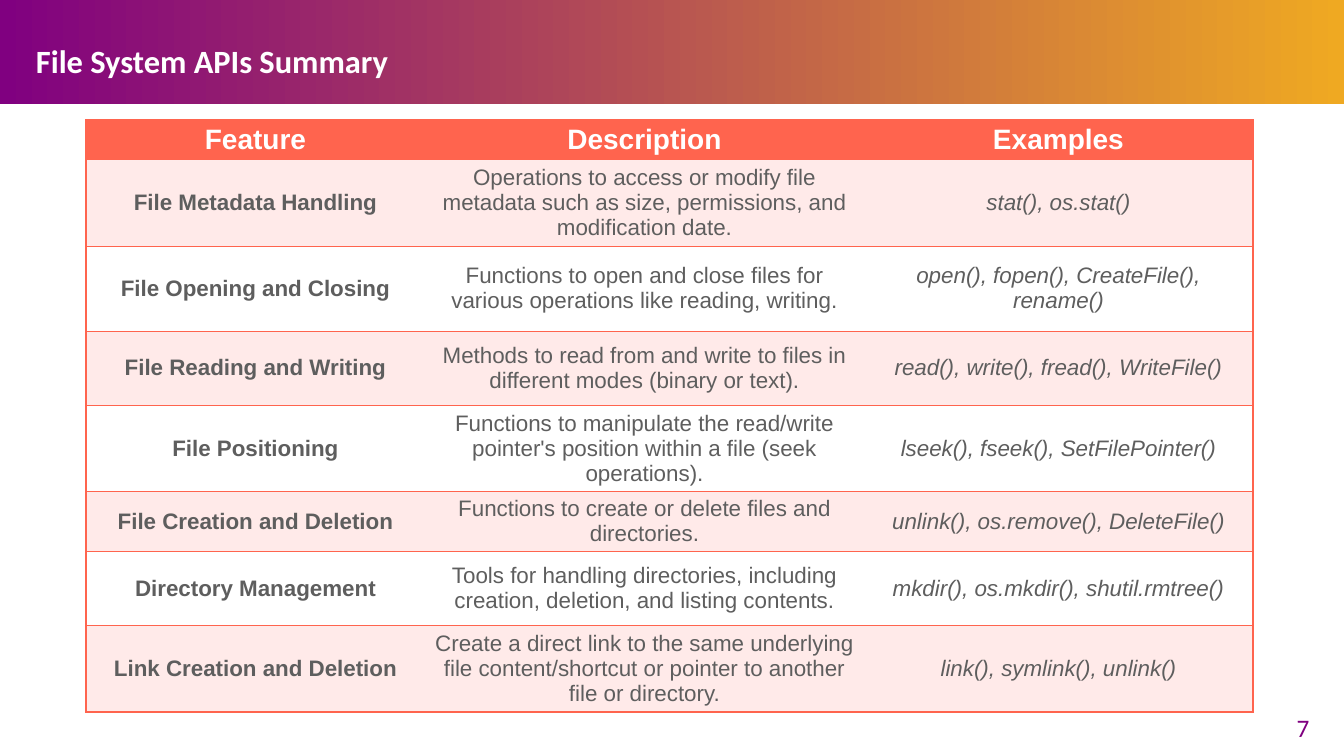
"""Build the File System APIs Summary slide."""
from lxml import etree
from pptx import Presentation
from pptx.dml.color import RGBColor
from pptx.enum.shapes import MSO_SHAPE
from pptx.enum.text import MSO_ANCHOR, PP_ALIGN
from pptx.oxml.ns import qn
from pptx.util import Emu, Pt

RECT = MSO_SHAPE.RECTANGLE
MIDDLE, TOP = MSO_ANCHOR.MIDDLE, MSO_ANCHOR.TOP
LEFT, CENTER = PP_ALIGN.LEFT, PP_ALIGN.CENTER

PURPLE = RGBColor(0x80, 0x00, 0x80)
AMBER = RGBColor(0xEF, 0xA9, 0x22)
CORAL = RGBColor(0xFF, 0x64, 0x4E)
BLUSH = RGBColor(0xFF, 0xEA, 0xE9)
GREY = RGBColor(0x5E, 0x5E, 0x5E)
WHITE = RGBColor(0xFF, 0xFF, 0xFF)

EMU_PER_PX = 914400 / 100.8
WIDTH, HEIGHT, BANNER_HEIGHT = 1344, 756, 104
COLUMNS = [339, 439, 389]
ROWS = [38, 85, 85, 74, 85, 59, 74, 85]
APIS = [
    ("Feature", "Description", "Examples"),
    ("File Metadata Handling",
     "Operations to access or modify file metadata such as size, permissions, "
     "and modification date.",
     "stat(), os.stat()"),
    ("File Opening and Closing",
     "Functions to open and close files for various operations like reading, writing.",
     "open(), fopen(), CreateFile(), rename()"),
    ("File Reading and Writing",
     "Methods to read from and write to files in different modes (binary or text).",
     "read(), write(), fread(), WriteFile()"),
    ("File Positioning",
     "Functions to manipulate the read/write pointer's position within a file "
     "(seek operations).",
     "lseek(), fseek(), SetFilePointer()"),
    ("File Creation and Deletion",
     "Functions to create or delete files and directories.",
     "unlink(), os.remove(), DeleteFile()"),
    ("Directory Management",
     "Tools for handling directories, including creation, deletion, and listing contents.",
     "mkdir(), os.mkdir(), shutil.rmtree()"),
    ("Link Creation and Deletion",
     "Create a direct link to the same underlying file content/shortcut or pointer "
     "to another file or directory.",
     "link(), symlink(), unlink()"),
]


def px(n):
    """Turn pixels into EMU."""
    return Emu(round(n * EMU_PER_PX))


def set_insets(frame, x, y):
    """Set the margins of a text frame or cell."""
    frame.margin_left = frame.margin_right = px(x)
    frame.margin_top = frame.margin_bottom = px(y)


def style(p, name, size, color, align, bold=False, italic=False):
    """Set the font and alignment of a paragraph."""
    p.alignment = align
    p.font.name, p.font.size = name, Pt(size)
    p.font.bold, p.font.italic = bold, italic
    p.font.color.rgb = color


def add_banner(s):
    """Add the gradient band across the top."""
    sp = s.shapes.add_shape(RECT, 0, 0, px(WIDTH), px(BANNER_HEIGHT))
    sp.shadow.inherit = False
    sp.line.fill.background()
    sp.fill.gradient()
    sp.fill.gradient_angle = 0
    for stop, color in zip(sp.fill.gradient_stops, (PURPLE, AMBER)):
        stop.color.rgb = color


def add_text(s, text, box, size, color, align, anchor, bold=False, wrap=True):
    """Add a text box with one line and return its run."""
    tf = s.shapes.add_textbox(*map(px, box)).text_frame
    tf.word_wrap, tf.vertical_anchor = wrap, anchor
    set_insets(tf, 6, 6)
    p = tf.paragraphs[0]
    r = p.add_run()
    r.text = text
    style(p, "Calibri", size, color, align, bold)
    return r


def set_borders(cell, coral_sides):
    """Draw coral lines on the given sides of a cell and none on the others."""
    tc_pr = cell._tc.get_or_add_tcPr()
    for side in "LRTB":
        ln = etree.SubElement(tc_pr, qn(f"a:ln{side}"), w=str(Pt(1)))
        if side in coral_sides:
            fill = etree.SubElement(ln, qn("a:solidFill"))
            etree.SubElement(fill, qn("a:srgbClr"), val=str(CORAL))
        else:
            etree.SubElement(ln, qn("a:noFill"))


def fill_cell(cell, text, row, col):
    """Write and format one cell according to its row and column."""
    header = row == 0
    cell.text = text
    cell.vertical_anchor = MIDDLE
    set_insets(cell, 6, 3)
    set_borders(cell, ("LTB", "TB", "RTB")[col])
    cell.fill.solid()
    cell.fill.fore_color.rgb = CORAL if header else BLUSH if row % 2 else WHITE
    style(cell.text_frame.paragraphs[0], "Arial", 20 if header else 16,
          WHITE if header else GREY, CENTER,
          bold=header or col == 0, italic=not header and col == 2)


def add_api_table(s):
    """Add the table of file system functions."""
    table = s.shapes.add_table(len(ROWS), len(COLUMNS), px(86), px(120),
                               px(sum(COLUMNS)), px(sum(ROWS))).table
    for column, width in zip(table.columns, COLUMNS):
        column.width = px(width)
    for i, (height, texts) in enumerate(zip(ROWS, APIS)):
        table.rows[i].height = px(height)
        for j, text in enumerate(texts):
            fill_cell(table.cell(i, j), text, i, j)


def main():
    """Build and save the slide."""
    prs = Presentation()
    prs.slide_width, prs.slide_height = px(WIDTH), px(HEIGHT)
    s = prs.slides.add_slide(prs.slide_layouts[6])
    add_banner(s)
    title = add_text(s, "File System APIs Summary", (30, 0, 1167, BANNER_HEIGHT),
                     40, WHITE, LEFT, MIDDLE, bold=True)
    title._r.get_or_add_rPr().set("baseline", "2000")
    add_text(s, "7", (1282, 706, 42, 42), 18, PURPLE, CENTER, TOP, wrap=False)
    add_api_table(s)
    prs.save("out.pptx")


if __name__ == "__main__":
    main()
